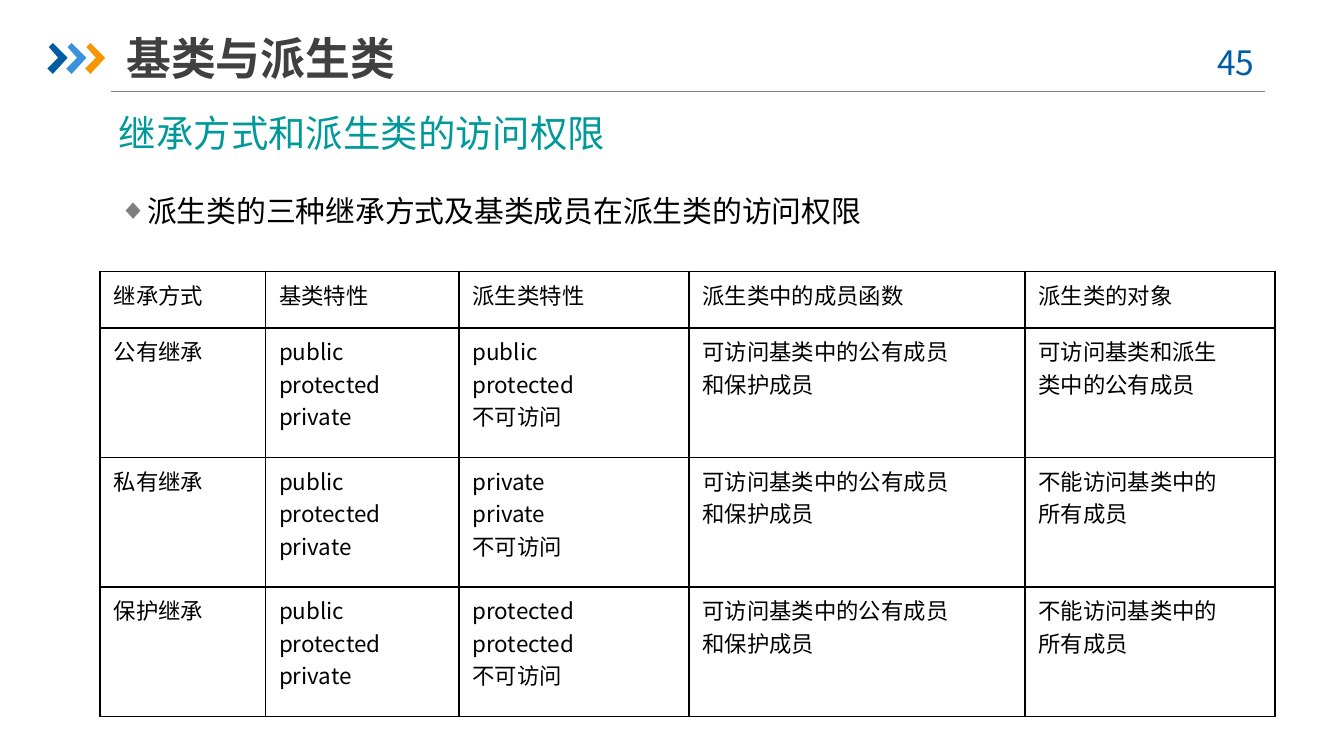
from dataclasses import dataclass

from lxml.etree import SubElement
from pptx import Presentation
from pptx.dml.color import RGBColor
from pptx.enum.shapes import MSO_CONNECTOR
from pptx.enum.text import MSO_ANCHOR, MSO_AUTO_SIZE, PP_ALIGN
from pptx.oxml import parse_xml
from pptx.oxml.ns import nsdecls, qn
from pptx.util import Emu, Inches, Pt

WIDTH = Inches(10)
HEIGHT = Emu(WIDTH * 9 // 16)
CJK = "Noto Sans CJK SC"
COLORS = {
    "navy": "005DA2", "blue": "3992DB", "orange": "F79600",
    "title": "404040", "teal": "009999", "text": "000000",
    "rule": "808080", "bullet": "7F7F7F",
}


@dataclass(frozen=True)
class Box:
    """A frame in percent of the slide's width and height."""
    left: float
    top: float
    width: float
    height: float

    def emu(self) -> tuple[Emu, Emu, Emu, Emu]:
        return (Emu(int(WIDTH * self.left / 100)), Emu(int(HEIGHT * self.top / 100)),
                Emu(int(WIDTH * self.width / 100)), Emu(int(HEIGHT * self.height / 100)))


@dataclass(frozen=True)
class Style:
    size: float
    color: str
    font: str = CJK
    bold: bool = False
    align: PP_ALIGN = PP_ALIGN.LEFT
    spacing: float = 1.0
    before: float = 0
    margin: float = 0
    indent: float = 0
    bullet: str = ""


TITLE = Style(24, "title", bold=True)
NUMBER = Style(18, "navy", align=PP_ALIGN.CENTER)
HEADING = Style(20, "teal", "Arial", spacing=1.25, before=4, margin=0.58, indent=-0.58)
POINT = Style(16, "text", spacing=1.5, before=3.2, margin=0.2, indent=-0.2, bullet="◆")
CELL = Style(12, "text", margin=0.38, indent=-0.38)

CHEVRON = [(1, 3), (4, 0), (15, 11), (4, 23), (0, 19), (8, 11)]  # hundredths of an inch
CHEVRON_COLORS = ["navy", "blue", "orange"]
CHEVRON_BOX = Box(3.53, 5.7, 1.5, 4.1)
CHEVRON_STEP = 1.4

TABLE_BOX = Box(7.46, 35.9, 87.4, 58.9)
COLUMN_SHARES = [1.23, 1.44, 1.71, 2.5, 1.86]
ROW_SHARES = [0.42, 0.96, 0.96, 0.96]
BASE_ACCESS = "public\nprotected\nprivate"
MEMBER_ACCESS = "可访问基类中的公有成员\n和保护成员"
NO_ACCESS = "不能访问基类中的\n所有成员"
ROWS = [
    ["继承方式", "基类特性", "派生类特性", "派生类中的成员函数", "派生类的对象"],
    ["公有继承", BASE_ACCESS, "public\nprotected\n不可访问", MEMBER_ACCESS,
     "可访问基类和派生\n类中的公有成员"],
    ["私有继承", BASE_ACCESS, "private\nprivate\n不可访问", MEMBER_ACCESS, NO_ACCESS],
    ["保护继承", BASE_ACCESS, "protected\nprotected\n不可访问", MEMBER_ACCESS, NO_ACCESS],
]


def rgb(name: str) -> RGBColor:
    return RGBColor.from_string(COLORS[name])


def write(tf, text: str, style: Style) -> None:
    tf.text = text
    for p in tf.paragraphs:
        p.alignment, p.line_spacing = style.align, style.spacing
        p.space_before, p.space_after = Pt(style.before), Pt(0)
        pPr = p._p.get_or_add_pPr()
        pPr.set("marL", str(Inches(style.margin)))
        pPr.set("indent", str(Inches(style.indent)))
        if style.bullet:
            color = SubElement(pPr, qn("a:buClr"))
            SubElement(color, qn("a:srgbClr"), val=COLORS["bullet"])
            SubElement(pPr, qn("a:buSzPct"), val="95000")
            SubElement(pPr, qn("a:buFont"), typeface="Arial")
            SubElement(pPr, qn("a:buChar"), char=style.bullet)
        else:
            SubElement(pPr, qn("a:buNone"))
        for r in p.runs:
            r.font.size, r.font.bold = Pt(style.size), style.bold
            r.font.color.rgb = rgb(style.color)
            r.font.name = style.font
            SubElement(r._r.get_or_add_rPr(), qn("a:ea"), typeface=CJK)


def place_text(sp, box: Box, text: str, style: Style, anchor=MSO_ANCHOR.TOP) -> None:
    sp.left, sp.top, sp.width, sp.height = box.emu()
    tf = sp.text_frame
    tf.word_wrap, tf.auto_size = True, MSO_AUTO_SIZE.NONE
    tf.vertical_anchor = anchor
    write(tf, text, style)


def draw_rule(s, box: Box) -> None:
    left, top, width, height = box.emu()
    line = s.shapes.add_connector(MSO_CONNECTOR.STRAIGHT, left, top, left + width, top + height)
    line.line.color.rgb, line.line.width = rgb("rule"), Pt(0.75)
    SubElement(line._element.spPr, qn("a:effectLst"))


def draw_chevron(s, box: Box, color: str) -> None:
    left, top, _, _ = box.emu()
    builder = s.shapes.build_freeform(*CHEVRON[0], scale=Inches(0.01))
    builder.add_line_segments(CHEVRON[1:], close=True)
    sp = builder.convert_to_shape(left, top)
    sp.fill.solid()
    sp.fill.fore_color.rgb = rgb(color)
    sp.line.fill.background()
    sp.shadow.inherit = False


def add_borders(cell) -> None:
    tcPr = cell._tc.get_or_add_tcPr()
    for i, side in enumerate(("lnL", "lnR", "lnT", "lnB")):
        tcPr.insert(i, parse_xml(
            f'<a:{side} {nsdecls("a")} w="{Pt(1)}"><a:solidFill>'
            f'<a:srgbClr val="{COLORS["text"]}"/></a:solidFill></a:{side}>'))


def draw_table(s, box: Box, rows: list[list[str]]) -> None:
    frame = s.shapes.add_table(len(rows), len(rows[0]), *box.emu())
    table = frame.table
    table.first_row = table.horz_banding = False
    _, _, width, height = box.emu()
    for column, share in zip(table.columns, COLUMN_SHARES):
        column.width = Emu(int(width * share / sum(COLUMN_SHARES)))
    for row, share, texts in zip(table.rows, ROW_SHARES, rows):
        row.height = Emu(int(height * share / sum(ROW_SHARES)))
        for cell, text in zip(row.cells, texts):
            cell.fill.background()
            add_borders(cell)
            write(cell.text_frame, text, CELL)


def main() -> None:
    prs = Presentation()
    prs.slide_width, prs.slide_height = WIDTH, HEIGHT
    s = prs.slides.add_slide(prs.slide_layouts.get_by_name("Two Content"))
    title, heading, point = s.placeholders

    draw_rule(s, Box(8.26, 12.15, 85.84, 0))
    for i, color in enumerate(CHEVRON_COLORS):
        b = CHEVRON_BOX
        draw_chevron(s, Box(b.left + i * CHEVRON_STEP, b.top, b.width, b.height), color)

    place_text(s.shapes.add_textbox(0, 0, 0, 0), Box(88.3, 4.7, 7.3, 7.1), "45", NUMBER)
    place_text(title, Box(9.4, 3.9, 46.9, 7.5), "基类与派生类", TITLE, MSO_ANCHOR.MIDDLE)
    title.text_frame.margin_left = title.text_frame.margin_right = 0
    place_text(heading, Box(7.85, 12.2, 86, 9.25), "继承方式和派生类的访问权限", HEADING)
    place_text(point, Box(7.85, 22.2, 84.3, 8.2),
               "派生类的三种继承方式及基类成员在派生类的访问权限", POINT)
    draw_table(s, TABLE_BOX, ROWS)
    prs.save("out.pptx")


if __name__ == "__main__":
    main()
